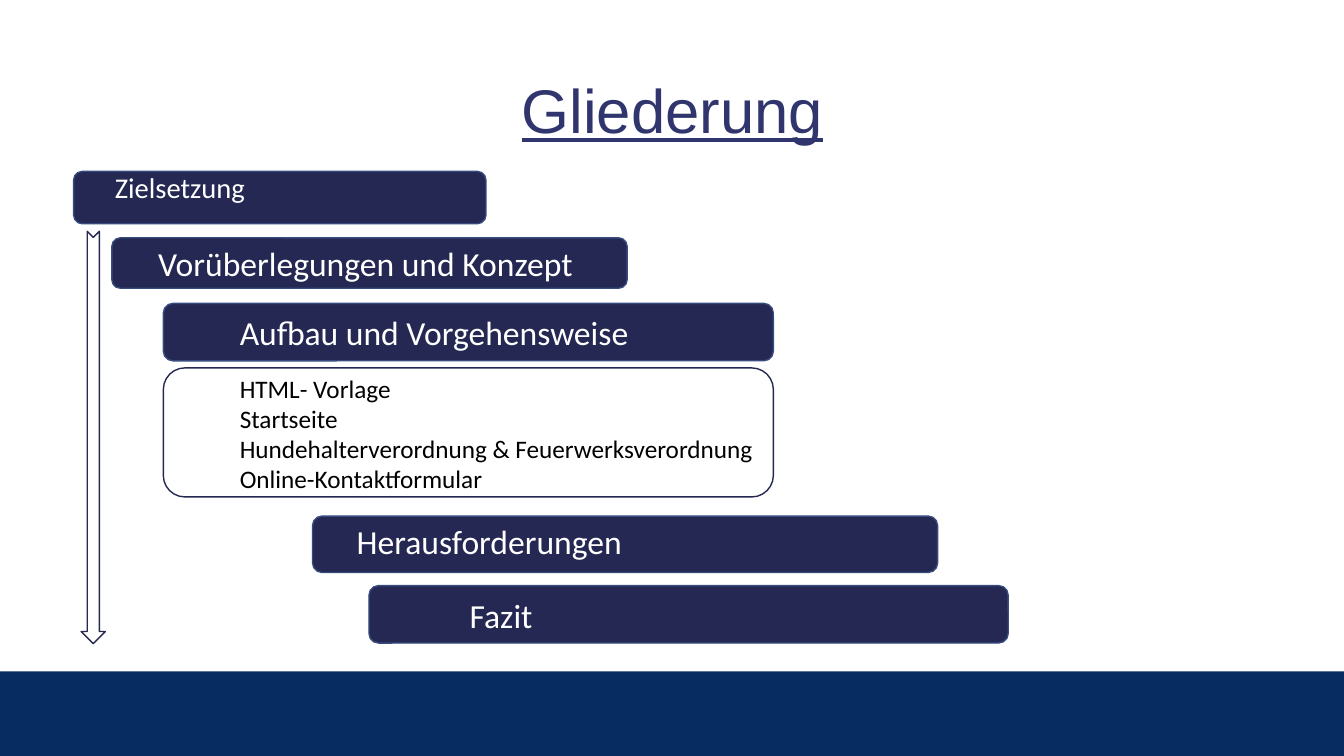
from pptx import Presentation
from pptx.dml.color import RGBColor
from pptx.enum.shapes import MSO_SHAPE as SHAPE
from pptx.enum.text import MSO_ANCHOR as ANCHOR, PP_ALIGN as ALIGN
from pptx.util import Inches, Pt

COLORS = {
    "band": "072C62", "title": "30356D", "bar": "242852",
    "edge": "374B7F", "white": "FFFFFF", "black": "000000",
}
TITLE = "Gliederung"
SECTIONS = [
    {"text": "Zielsetzung", "bar": (0.73, 1.7, 4.09, 0.52), "label": (1.04, 1.7, 2.26, 0.5),
     "size": 20.4, "spacing": 0.8},
    {"text": "Vorüberlegungen und Konzept", "bar": (1.11, 2.36, 5.11, 0.5),
     "label": (1.47, 2.36, 4.5, 0.5)},
    {"text": "Aufbau und Vorgehensweise", "bar": (1.62, 3.01, 6.05, 0.57),
     "label": (2.28, 3.05, 5.3, 0.5)},
    {"text": "Herausforderungen", "bar": (3.1, 5.12, 6.2, 0.56),
     "label": (3.44, 5.12, 4.16, 0.5)},
    {"text": "Fazit", "bar": (3.66, 5.81, 6.34, 0.57), "label": (4.56, 5.85, 3.83, 0.5)},
]
DETAILS = [
    "HTML- Vorlage",
    "Startseite",
    "Hundehalterverordnung & Feuerwerksverordnung",
    "Online-Kontaktformular",
]


def rgb(name):
    return RGBColor.from_string(COLORS[name])


def add_box(s, kind, box, fill, line=None):
    sp = s.shapes.add_shape(kind, *map(Inches, box))
    sp.shadow.inherit = False
    sp.fill.solid()
    sp.fill.fore_color.rgb = rgb(fill)
    if line:
        sp.line.color.rgb = rgb(line)
        sp.line.width = Pt(1)
    else:
        sp.line.fill.background()
    return sp


def add_text(s, box, lines, size, color, font="Calibri", anchor=ANCHOR.TOP, underline=None, **layout):
    tf = s.shapes.add_textbox(*map(Inches, box)).text_frame
    tf.word_wrap = True
    tf.vertical_anchor = anchor
    style = {"name": font, "size": Pt(size), "underline": underline}
    for i, line in enumerate(lines):
        p = tf.paragraphs[0] if i == 0 else tf.add_paragraph()
        for key, value in layout.items():
            setattr(p, key, value)
        r = p.add_run()
        r.text = line
        for key, value in style.items():
            setattr(r.font, key, value)
        r.font.color.rgb = rgb(color)


def main():
    prs = Presentation()
    prs.slide_width, prs.slide_height = Inches(13.33), Inches(7.5)
    s = prs.slides.add_slide(prs.slide_layouts[6])

    add_box(s, SHAPE.RECTANGLE, (0, 6.66, 13.33, 0.84), "band")
    add_text(s, (0.92, 0.4, 11.5, 1.45), [TITLE], 44, "title", font="Arial",
             anchor=ANCHOR.MIDDLE, underline=True, alignment=ALIGN.CENTER, line_spacing=0.9)

    for section in SECTIONS:
        add_box(s, SHAPE.ROUNDED_RECTANGLE, section["bar"], "bar", "edge")
        add_text(s, section["label"], [section["text"]], section.get("size", 24), "white",
                 line_spacing=section.get("spacing"))

    add_box(s, SHAPE.ROUNDED_RECTANGLE, (1.62, 3.65, 6.05, 1.28), "white", "bar")
    add_text(s, (2.28, 3.65, 5.96, 1.28), DETAILS, 18, "black")

    arrow = add_box(s, SHAPE.NOTCHED_RIGHT_ARROW, (-1.12, 4.22, 4.09, 0.24), "white", "bar")
    arrow.rotation = 90

    prs.save("out.pptx")


if __name__ == "__main__":
    main()
